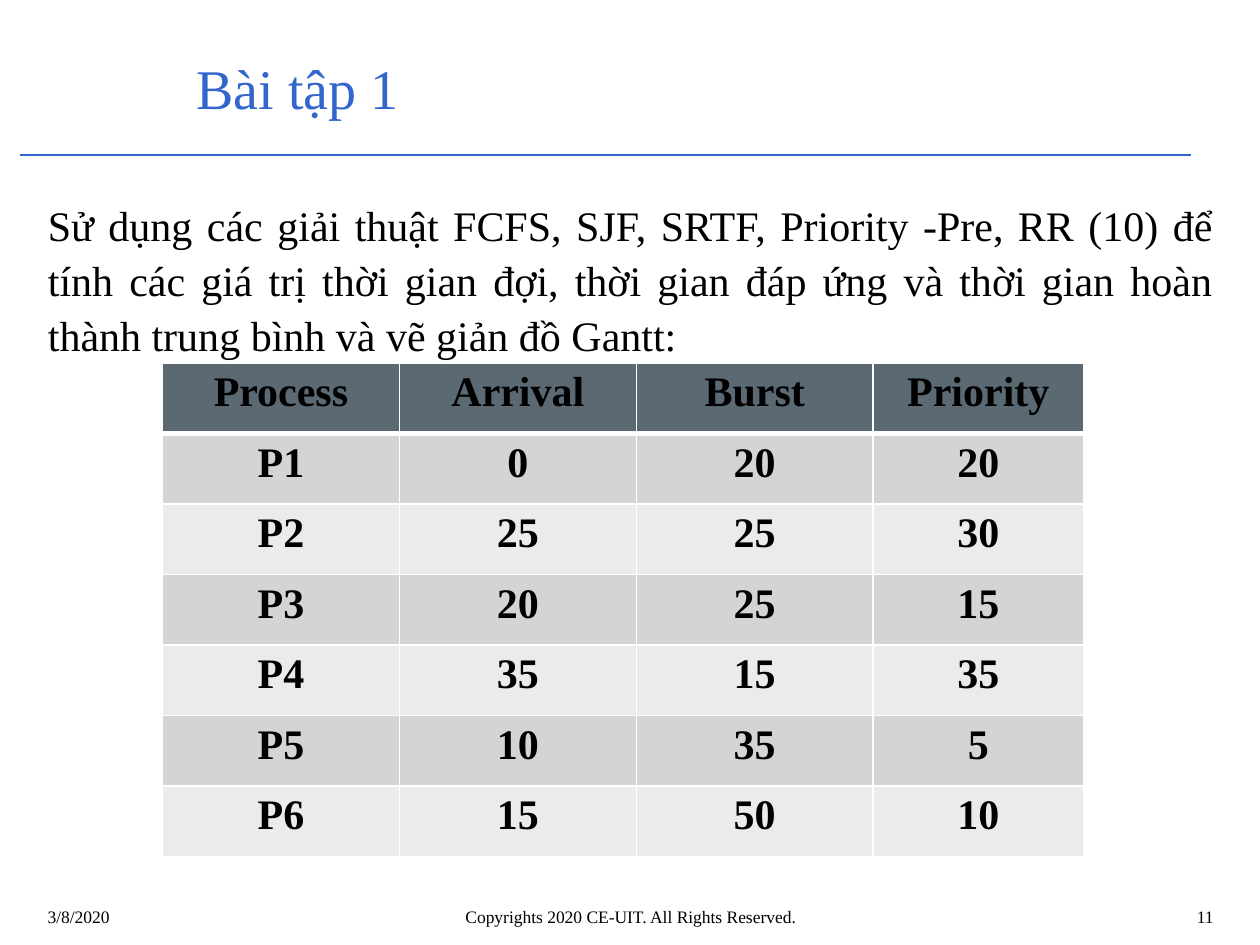
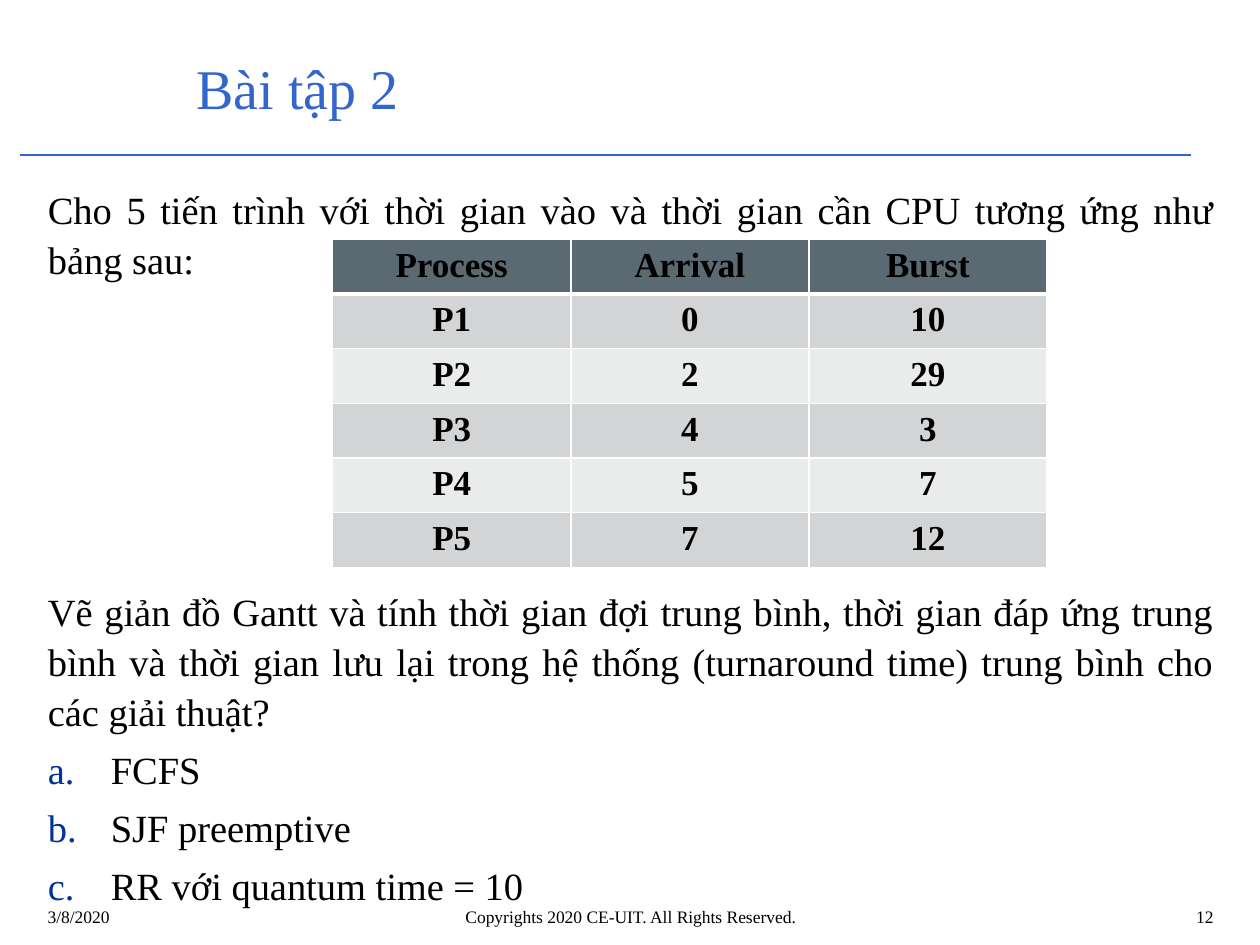
from pptx import Presentation
from pptx.dml.color import RGBColor
from pptx.enum.shapes import MSO_CONNECTOR, MSO_SHAPE
from pptx.enum.text import MSO_ANCHOR, MSO_AUTO_SIZE, PP_ALIGN
from pptx.oxml.ns import qn
from pptx.util import Inches, Pt
from lxml.etree import SubElement

# Shared look
FONT = "Times New Roman"
BLUE, NUMBER_BLUE, BLACK, WHITE = "3366CC", "003399", "000000", "FFFFFF"
HEADER_FILL, ROW_FILLS = "5B6973", ("D2D4D5", "EAEBEB")
DATE = "3/8/2020"
COPYRIGHT = "Copyrights 2020 CE-UIT. All Rights Reserved."


def rgb(color):
    return RGBColor.from_string(color)


def place(sp, box):
    sp.left, sp.top, sp.width, sp.height = (Inches(v) for v in box)


def format_paragraph(p, size, color=BLACK, align=PP_ALIGN.LEFT, bold=False):
    p.alignment = align
    for r in p.runs:
        r.font.name, r.font.size, r.font.bold = FONT, Pt(size), bold
        r.font.color.rgb = rgb(color)


def set_bullet(p, numbered):
    pPr = p._p.get_or_add_pPr()
    indent = Inches(0.5) if numbered else 0
    pPr.set("marL", str(indent))
    pPr.set("indent", str(-indent))
    if numbered:
        color = SubElement(pPr, qn("a:buClr"))
        SubElement(color, qn("a:srgbClr"), val=NUMBER_BLUE)
        SubElement(pPr, qn("a:buFont"), typeface=FONT)
        SubElement(pPr, qn("a:buAutoNum"), type="alphaLcPeriod")
    else:
        SubElement(pPr, qn("a:buNone"))


def add_band(slide, box):
    """Translucent title band with the blue rule, behind everything else."""
    left, top, width, height = box
    band = slide.shapes.add_shape(MSO_SHAPE.RECTANGLE, 0, 0, 0, 0)
    place(band, box)
    band.shadow.inherit = False
    band.fill.solid()
    band.fill.fore_color.rgb = rgb(WHITE)
    color = band._element.spPr.find(qn("a:solidFill"))[0]
    SubElement(color, qn("a:alpha"), val="60000")
    band.line.fill.background()

    y = Inches(top + 1.18)
    rule = slide.shapes.add_connector(
        MSO_CONNECTOR.STRAIGHT, Inches(left + 0.16), y, Inches(left + width), y)
    rule.line.color.rgb = rgb(BLUE)
    rule.line.width = Pt(0.75)
    SubElement(rule._element.spPr, qn("a:effectLst"))
    for position, sp in enumerate((band, rule), start=2):
        slide.shapes._spTree.insert(position, sp._element)


def add_title(slide, text, box):
    title = slide.shapes.title
    place(title, box)
    tf = title.text_frame
    tf.text = text
    tf.vertical_anchor = MSO_ANCHOR.MIDDLE
    tf.auto_size = MSO_AUTO_SIZE.NONE
    format_paragraph(tf.paragraphs[0], 32, BLUE)


def add_body(slide, paragraphs, box, size):
    """Fill the body; each entry is (text, numbered, extra space before)."""
    body = slide.placeholders[1]
    place(body, box)
    tf = body.text_frame
    tf.auto_size = MSO_AUTO_SIZE.NONE
    tf.vertical_anchor = MSO_ANCHOR.TOP
    for i, (text, numbered, gap) in enumerate(paragraphs):
        p = tf.add_paragraph() if i else tf.paragraphs[0]
        p.text = text
        format_paragraph(p, size, align=PP_ALIGN.JUSTIFY)
        p.line_spacing = 1.09
        p.space_before = Pt(0.2 * size + gap)
        set_bullet(p, numbered)


def add_footer(slide, number, box):
    left, top, width, height = box
    parts = (
        (DATE, left, 2.33, PP_ALIGN.LEFT),
        (COPYRIGHT, left + (width - 6.14) / 2, 6.14, PP_ALIGN.CENTER),
        (str(number), left + width - 1.92, 1.92, PP_ALIGN.RIGHT),
    )
    for text, x, w, align in parts:
        sp = slide.shapes.add_textbox(0, 0, 0, 0)
        place(sp, (x, top, w, height))
        tf = sp.text_frame
        tf.word_wrap = True
        tf.text = text
        format_paragraph(tf.paragraphs[0], 10, align=align)


def set_borders(cell, bottom):
    tcPr = cell._tc.get_or_add_tcPr()
    for side, points in (("L", 1), ("R", 1), ("T", 1), ("B", bottom)):
        ln = SubElement(tcPr, qn(f"a:ln{side}"), w=str(Pt(points)))
        SubElement(SubElement(ln, qn("a:solidFill")), qn("a:srgbClr"), val=WHITE)


def add_process_table(slide, rows, origin, col_widths, row_height, size):
    left, top = origin
    table = slide.shapes.add_table(
        len(rows), len(col_widths), Inches(left), Inches(top),
        Inches(sum(col_widths)), Inches(row_height * len(rows))).table
    for column, width in zip(table.columns, col_widths):
        column.width = Inches(width)
    for i, values in enumerate(rows):
        table.rows[i].height = Inches(row_height)
        for cell, value in zip(table.rows[i].cells, values):
            cell.text = str(value)
            format_paragraph(cell.text_frame.paragraphs[0], size,
                             align=PP_ALIGN.CENTER, bold=True)
            set_borders(cell, bottom=1 if i else 3)
            cell.fill.solid()
            cell.fill.fore_color.rgb = rgb(ROW_FILLS[(i - 1) % 2] if i else HEADER_FILL)


def add_exercise(prs, title, number):
    """Slide with the shared band, title and footer."""
    slide = prs.slides.add_slide(prs.slide_layouts[1])
    add_band(slide, (0, 0.05, 9.45, 1.42))
    add_title(slide, title, (1.46, 0.31, 8.04, 0.76))
    add_footer(slide, number, (0.28, 7.14, 9.45, 0.32))
    return slide


def build_exercise_1(prs):
    slide = add_exercise(prs, "Bài tập 1", 11)
    task = ("Sử dụng các giải thuật FCFS, SJF, SRTF, Priority -Pre, RR (10) để "
            "tính các giá trị thời gian đợi, thời gian đáp ứng và thời gian hoàn "
            "thành trung bình và vẽ giản đồ Gantt:")
    add_body(slide, [(task, False, 0)], (0.28, 1.5, 9.45, 5.28), 24)
    rows = [
        ("Process", "Arrival", "Burst", "Priority"),
        ("P1", 0, 20, 20),
        ("P2", 25, 25, 30),
        ("P3", 20, 25, 15),
        ("P4", 35, 15, 35),
        ("P5", 10, 35, 5),
        ("P6", 15, 50, 10),
    ]
    add_process_table(slide, rows, (1.29, 2.88), [1.88] * 3 + [1.67], 0.56, 24)


def build_exercise_2(prs):
    slide = add_exercise(prs, "Bài tập 2", 12)
    intro = ("Cho 5 tiến trình với thời gian vào và thời gian cần CPU tương ứng "
             "như bảng sau:")
    task = ("Vẽ giản đồ Gantt và tính thời gian đợi trung bình, thời gian đáp ứng "
            "trung bình và thời gian lưu lại trong hệ thống (turnaround time) "
            "trung bình cho các giải thuật?")
    algorithms = ("FCFS", "SJF preemptive", "RR với quantum time = 10")
    # The gap before the task leaves room for the table
    paragraphs = [(intro, False, 0), (task, False, 168)]
    paragraphs += [(name, True, 0) for name in algorithms]
    add_body(slide, paragraphs, (0.28, 1.39, 9.45, 5.75), 22)
    rows = [
        ("Process", "Arrival", "Burst"),
        ("P1", 0, 10),
        ("P2", 2, 29),
        ("P3", 4, 3),
        ("P4", 5, 7),
        ("P5", 7, 12),
    ]
    add_process_table(slide, rows, (2.64, 1.9), [1.89] * 3, 0.41, 20)


def main():
    prs = Presentation()
    prs.slide_width, prs.slide_height = Inches(10), Inches(7.5)
    build_exercise_1(prs)
    build_exercise_2(prs)
    prs.save("out.pptx")


if __name__ == "__main__":
    main()
